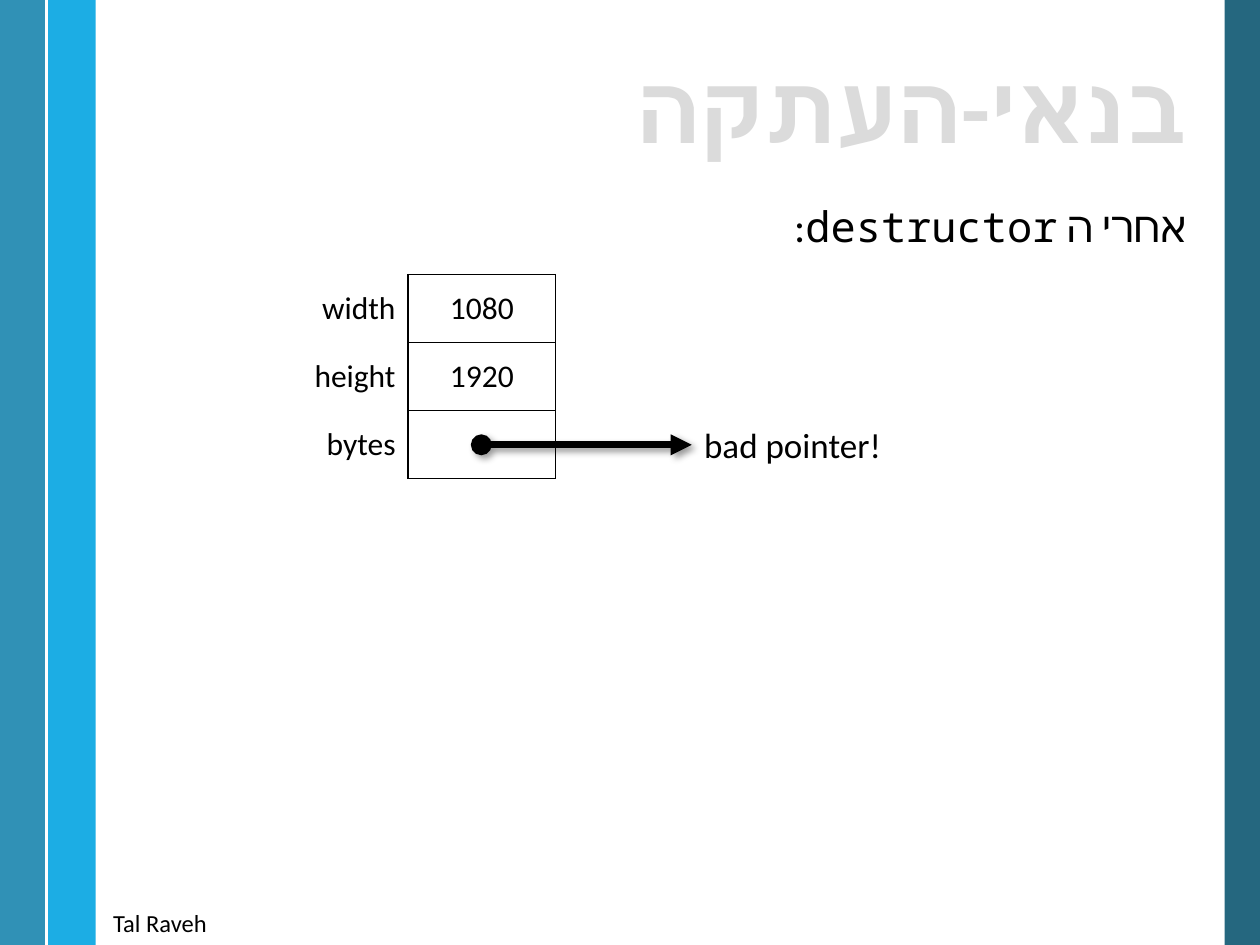
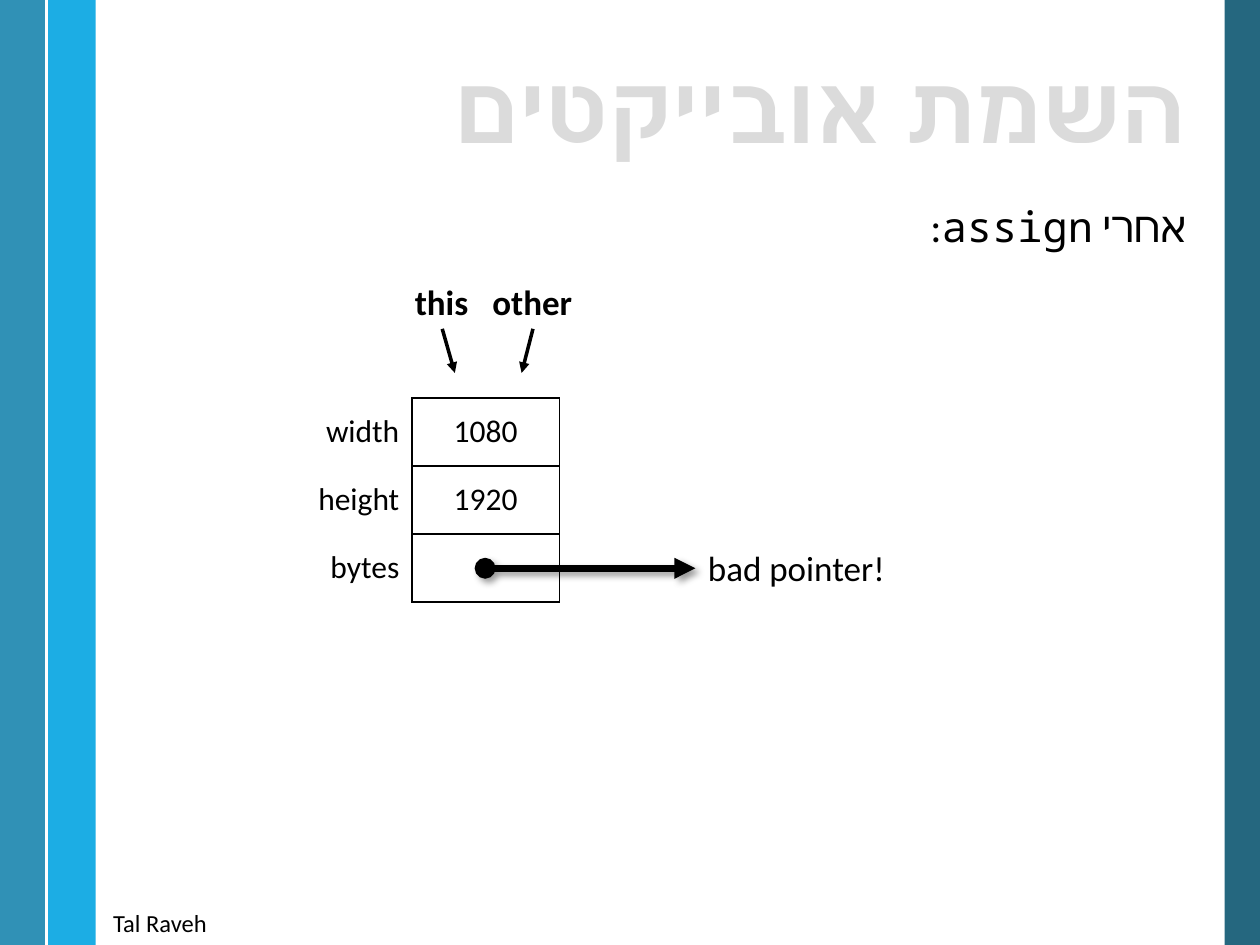
from lxml import etree
from pptx import Presentation
from pptx.dml.color import RGBColor
from pptx.enum.dml import MSO_PATTERN
from pptx.enum.shapes import MSO_CONNECTOR, MSO_SHAPE
from pptx.enum.text import MSO_ANCHOR, MSO_AUTO_SIZE, PP_ALIGN
from pptx.oxml import parse_xml
from pptx.oxml.ns import nsdecls, qn
from pptx.util import Inches, Pt

LEFT, CENTER, RIGHT = PP_ALIGN.LEFT, PP_ALIGN.CENTER, PP_ALIGN.RIGHT
MIDDLE = MSO_ANCHOR.MIDDLE
STRAIGHT = MSO_CONNECTOR.STRAIGHT

SLIDES = [
    {"title": "בנאי-העתקה", "body": "אחרי ה destructor:",
     "table_at": (2.07, 2.18), "references": []},
    {"title": "השמת אובייקטים", "body": "אחרי assign:",
     "table_at": (2.1, 3.16),
     "references": [("this", 2.92, (3.51, 2.61), (3.61, 2.96)),
                    ("other", 3.64, (4.23, 2.61), (4.14, 2.96))]},
]
FIELDS = [("width", "1080"), ("height", "1920"), ("bytes", "")]
POINTER_TEXT = "bad pointer!"
AUTHOR = "Tal Raveh"

THEME = {
    "text": "000000", "rule": "FFFFFF",
    "title_front": "1CADE4", "title_back": "DBDBDB", "title_outline": "525252",
    "font": "Calibri", "code_font": "Noto Sans Mono",
    "title_size": 54, "body_size": 24, "label_size": 20, "cell_size": 18,
    "author_size": 14,
}
WIDTH, HEIGHT = 10, 7.5
# left, width, colour, opacity in percent
BANDS = [(9.72, 0.28, "0E5772", 90), (0.37, 0.39, "1CADE4", 100),
         (0, 0.38, "1482AC", 88)]
TITLE_BOX = (0.96, 0.5, 8.56, 0.79)
BODY_BOX = (0.96, 1.59, 8.56, 5.41)
AUTHOR_BOX = (0.77, 7.16, 0.97, 0.34)
COLUMN, ROW = 1.17, 0.54
POINTER_START, POINTER_END = 1.75, 3.42
LABEL_WIDTH, LABEL_HEIGHT = 2 * COLUMN, 0.44
REFERENCE_TOP = 2.18
NO_STYLE = "{2D5ABB26-0587-4C30-8999-92F81FD0307C}"


def color(hex_value):
    return RGBColor.from_string(hex_value)


def inches(values):
    return [Inches(value) for value in values]


def set_values(target, values):
    for name, value in values.items():
        setattr(target, name, value)


def place(shape, box):
    set_values(shape, dict(zip(("left", "top", "width", "height"), inches(box))))


def write(frame, text, size, align=LEFT, bold=False, font=THEME["font"]):
    paragraph = frame.paragraphs[0]
    paragraph.alignment = align
    run = paragraph.add_run()
    run.text = text
    set_values(run.font, {"size": Pt(size), "bold": bold, "name": font})
    run.font.color.rgb = color(THEME["text"])
    return paragraph, run


def write_hebrew(placeholder, text, size, bold=False, font=THEME["font"]):
    """Write a right-to-left line without a bullet and return its run."""
    frame = placeholder.text_frame
    frame.auto_size = MSO_AUTO_SIZE.NONE
    paragraph, run = write(frame, text, size, RIGHT, bold, font)
    set_values(paragraph, {"line_spacing": 0.9, "space_before": Pt(0)})
    properties = paragraph._p.get_or_add_pPr()
    for name, value in {"rtl": "1", "marL": "0", "marR": "0", "indent": "0"}.items():
        properties.set(name, value)
    etree.SubElement(properties, qn("a:buNone"))
    etree.SubElement(run._r.rPr, qn("a:cs"), typeface=THEME["font"])
    return run


def add_text(slide, box, text, size, align=LEFT, bold=False):
    shape = slide.shapes.add_textbox(*inches(box))
    set_values(shape.text_frame,
               {"word_wrap": True, "auto_size": MSO_AUTO_SIZE.SHAPE_TO_FIT_TEXT})
    write(shape.text_frame, text, size, align, bold)
    return shape


def add_line(slide, start, end, line_color, width, head=None, tail=None, shadow=False):
    connector = slide.shapes.add_connector(STRAIGHT, *inches(start + end))
    connector.line.color.rgb = color(line_color)
    connector.line.width = Pt(width)
    line = connector.line._get_or_add_ln()
    for tag, kind in (("a:headEnd", head), ("a:tailEnd", tail)):
        if kind:
            etree.SubElement(line, qn(tag), type=kind)
    effects = etree.SubElement(connector.element.spPr, qn("a:effectLst"))
    if shadow:
        outer = etree.SubElement(effects, qn("a:outerShdw"), blurRad=str(Pt(4)),
                                 dist=str(Pt(3)), dir=str(45 * 60000))
        black = etree.SubElement(outer, qn("a:srgbClr"), val=THEME["text"])
        etree.SubElement(black, qn("a:alpha"), val="40000")
    return connector


def add_band(slide, left, width, fill, opacity):
    band = slide.shapes.add_shape(MSO_SHAPE.RECTANGLE,
                                  *inches((left, 0, width, HEIGHT)))
    band.shadow.inherit = False
    band.line.fill.background()
    band.fill.solid()
    band.fill.fore_color.rgb = color(fill)
    if opacity < 100:
        solid = band.element.spPr.find(qn("a:solidFill"))
        etree.SubElement(solid[0], qn("a:alpha"), val=str(opacity * 1000))
    return band


def furnish_layout(layout, slide):
    """Draw the shared parts on a slide, then move them behind the layout's own."""
    place(layout.placeholders[0], TITLE_BOX)
    place(layout.placeholders[1], BODY_BOX)
    parts = [add_band(slide, *band) for band in BANDS]
    rule_left = BANDS[1][0]
    parts.append(add_line(slide, (rule_left, 0), (rule_left, HEIGHT),
                          THEME["rule"], 1.5))
    parts.append(add_text(slide, AUTHOR_BOX, AUTHOR, THEME["author_size"], RIGHT))
    for index, part in enumerate(parts):
        part.element.xpath(".//p:cNvPr")[0].set("id", str(100 + index))
        layout.shapes.element.insert(2 + index, part.element)


def write_title(title, text):
    run = write_hebrew(title, text, THEME["title_size"], bold=True)
    set_values(title.text_frame, {"word_wrap": False, "vertical_anchor": MIDDLE,
                                  "margin_top": 0, "margin_bottom": 0})
    fill = run.font.fill
    fill.patterned()
    fill.pattern = MSO_PATTERN.NARROW_HORIZONTAL
    fill.fore_color.rgb = color(THEME["title_front"])
    fill.back_color.rgb = color(THEME["title_back"])
    run._r.rPr.insert(0, border("a:ln", THEME["title_outline"]))


def border(tag, line_color):
    return parse_xml(
        f'<{tag} {nsdecls("a")} w="{Pt(1)}"><a:solidFill>'
        f'<a:srgbClr val="{line_color}"/></a:solidFill></{tag}>')


def fill_cell(cell, text, align, sides):
    cell.fill.background()
    cell.vertical_anchor = MIDDLE
    write(cell.text_frame, text, THEME["cell_size"], align)
    for index, side in enumerate(sides):
        cell._tc.tcPr.insert(index, border("a:ln" + side, THEME["text"]))


def add_fields(slide, left, top):
    frame = slide.shapes.add_table(len(FIELDS), 2, *inches(
        (left, top, 2 * COLUMN, ROW * len(FIELDS))))
    table = frame.table
    set_values(table, {"first_row": False, "horz_banding": False})
    next(frame.element.iter(qn("a:tableStyleId"))).text = NO_STYLE
    for row, (name, value) in enumerate(FIELDS):
        fill_cell(table.cell(row, 0), name, RIGHT, "R")
        fill_cell(table.cell(row, 1), value, CENTER, "LRTB")


def add_pointer(slide, left, top):
    middle = top + (len(FIELDS) - 0.5) * ROW
    end = left + POINTER_END
    arrow = add_line(slide, (left + POINTER_START, middle), (end, middle),
                     THEME["text"], 4, "oval", "triangle", shadow=True)
    label = add_text(slide, (end, middle - LABEL_HEIGHT / 2, LABEL_WIDTH, LABEL_HEIGHT),
                     POINTER_TEXT, THEME["label_size"])
    arrow.end_connect(label, 1)


def main():
    presentation = Presentation()
    set_values(presentation, {"slide_width": Inches(WIDTH),
                              "slide_height": Inches(HEIGHT)})
    layout = presentation.slide_layouts[1]
    for number, content in enumerate(SLIDES):
        slide = presentation.slides.add_slide(layout)
        if number == 0:
            furnish_layout(layout, slide)
        title, body = slide.placeholders
        write_title(title, content["title"])
        write_hebrew(body, content["body"], THEME["body_size"],
                     font=THEME["code_font"])
        add_fields(slide, *content["table_at"])
        add_pointer(slide, *content["table_at"])
        for name, left, start, end in content["references"]:
            add_text(slide, (left, REFERENCE_TOP, COLUMN, LABEL_HEIGHT), name,
                     THEME["label_size"], CENTER, bold=True)
            add_line(slide, start, end, THEME["text"], 2, tail="triangle")
    presentation.save("out.pptx")


if __name__ == "__main__":
    main()
